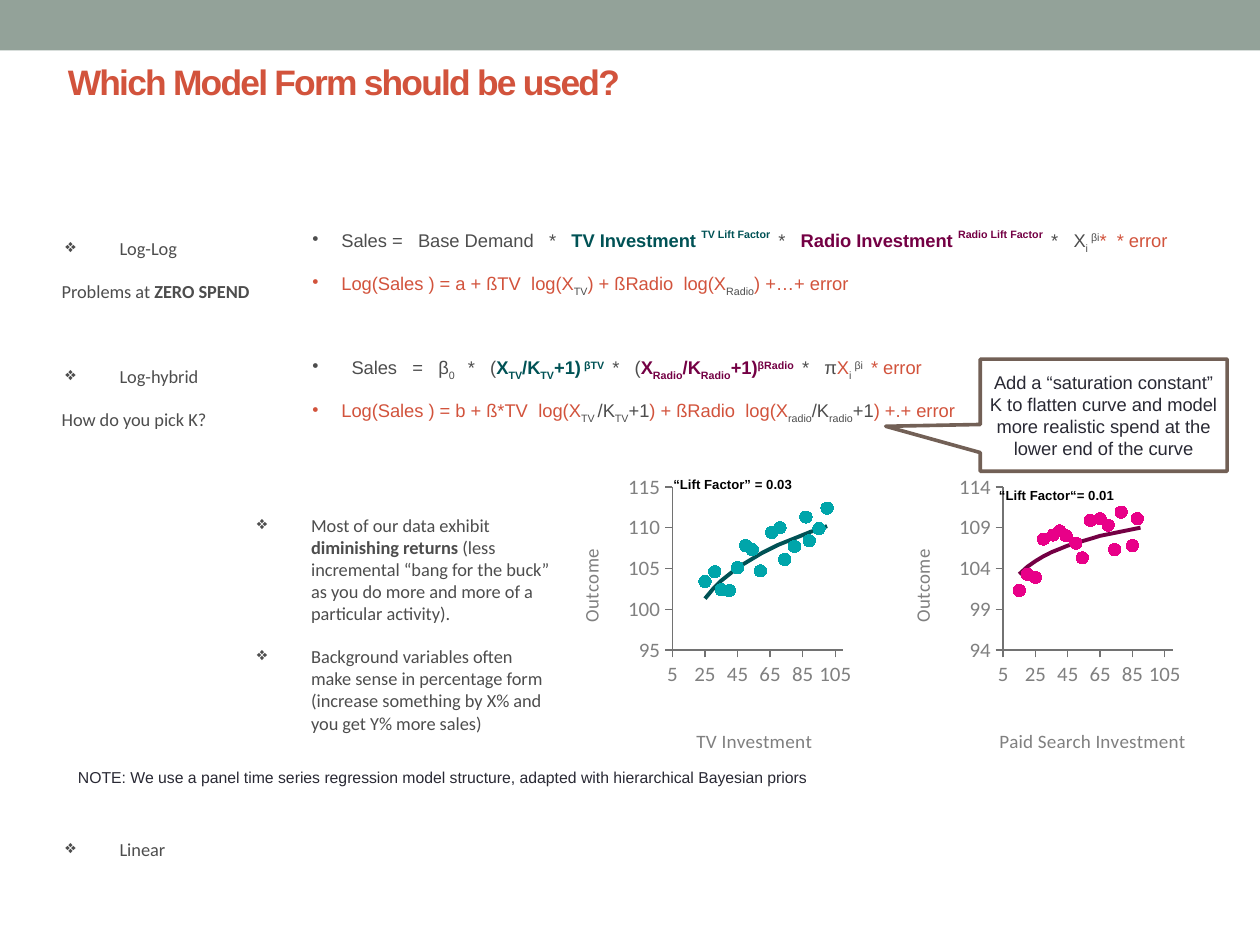
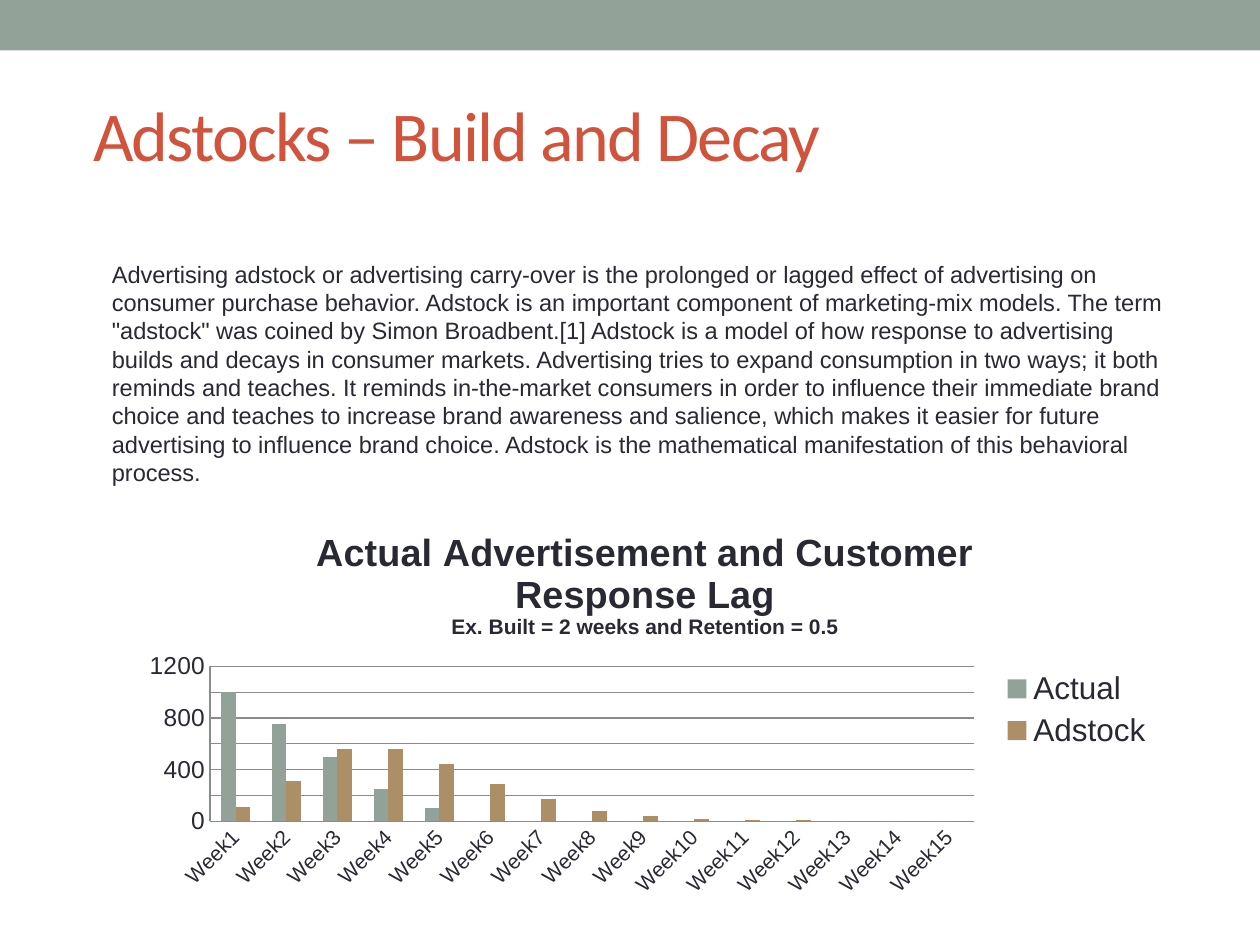
from math import log

from lxml import etree
from pptx import Presentation
from pptx.chart.data import CategoryChartData, XyChartData
from pptx.dml.color import RGBColor
from pptx.enum import chart as charts, shapes, text
from pptx.oxml.ns import qn
from pptx.util import Inches, Pt

COLORS = {
    "band": "93A299", "title": "D2533C", "ink": "292934", "gray": "4D4D4D",
    "tv": "005255", "radio": "740044", "tv_dots": "00A5AA", "search_dots": "E80088",
    "axis": "727272", "label": "808080", "grid": "8A8A8F", "adstock": "AD8F67",
    "callout": "726056", "white": "FFFFFF", "black": "000000",
}
TIGHT = (0.06, 0.03, 0.06, 0.03)
NORMAL = (0.1, 0.05, 0.1, 0.05)
WIDE_SPACES = {"|": 5.8, "¦": 2.9}

LOG_LOG = [
    ("Sales =|Base Demand|*|", "gray"), ("TV Investment ", "tv"),
    ("TV Lift Factor¦", "tv", 50), ("*|", "gray"), ("Radio Investment ", "radio"),
    ("Radio Lift Factor¦", "radio", 50), ("*|X", "gray"), ("i ", "gray", -25),
    ("βi", "gray", 30), ("*¦* error", "title"),
]
LOG_LOG_LINEAR = [
    ("Log(Sales ) = a + ßTV¦log(X", "title"), ("TV", "gray", -25),
    (") + ßRadio¦log(X", "title"), ("Radio", "gray", -25), (") +…+ error", "title"),
]
HYBRID = [
    ("¦Sales|=|β", "gray"), ("0 ", "gray", -25), ("¦*|(", "gray"),
    ("X", "tv"), ("TV", "tv", -25), ("/K", "tv"), ("TV", "tv", -25), ("+1)", "tv"),
    (" βTV¦", "tv", 30), ("*|(", "gray"), ("X", "radio"), ("Radio", "radio", -25),
    ("/K", "radio"), ("Radio", "radio", -25), ("+1)", "radio"), ("βRadio¦", "radio", 30),
    ("*|π", "gray"), ("X", "title"), ("i ", "gray", -25), ("βi¦", "gray", 30),
    ("* error", "title"),
]
HYBRID_LINEAR = [
    ("Log(Sales ) = b + ß*TV¦log(X", "title"), ("TV ", "gray", -25), ("/K", "gray"),
    ("TV", "gray", -25), ("+1", "gray"), (") + ßRadio¦log(X", "title"),
    ("radio", "gray", -25), ("/K", "gray"), ("radio", "gray", -25), ("+1", "gray"),
    (") +.+ error", "title"),
]
TV_POINTS = {
    25: 103.4, 31: 104.6, 35: 102.4, 40: 102.3, 45: 105.1, 50: 107.8, 54: 107.3, 59: 104.7,
    66: 109.4, 71: 110, 74: 106.1, 80: 107.7, 87: 111.3, 89: 108.4, 95: 109.9, 100: 112.4,
}
SEARCH_POINTS = {
    15: 101.3, 20: 103.3, 25: 102.9, 30: 107.6, 36: 108.1, 40: 108.6, 44: 108, 50: 107.1,
    54: 105.3, 59: 109.9, 65: 110.1, 70: 109.3, 74: 106.3, 78: 110.9, 85: 106.8, 88: 110.1,
}
ACTUAL = [1000, 750, 500, 250, 100] + [0] * 10
ADSTOCK = [110, 310, 560, 560, 440, 290, 170, 80, 40, 20, 10, 10, 0, 0, 0]
ADSTOCK_TEXT = (
    "Advertising adstock or advertising carry-over is the prolonged or lagged effect of "
    "advertising on consumer purchase behavior. Adstock is an important component of "
    "marketing-mix models. The term \"adstock\" was coined by Simon Broadbent.[1] Adstock is "
    "a model of how response to advertising builds and decays in consumer markets. "
    "Advertising tries to expand consumption in two ways; it both reminds and teaches. It "
    "reminds in-the-market consumers in order to influence their immediate brand choice and "
    "teaches to increase brand awareness and salience, which makes it easier for future "
    "advertising to influence brand choice. Adstock is the mathematical manifestation of "
    "this behavioral process."
)


def rgb(name):
    """Return the named colour."""
    return RGBColor.from_string(COLORS[name])


def style_font(font, size, color, name="Arial", bold=False):
    """Set face, size, colour and weight of a font."""
    font.name, font.size, font.bold = name, Pt(size), bold
    font.color.rgb = rgb(color)


def add_span(para, words, size, color, name="Arial", bold=False, baseline=0, spacing=0):
    """Add one run of text."""
    span = para.add_run()
    span.text = words
    style_font(span.font, size, color, name, bold)
    properties = span.font._element
    if baseline:
        properties.set("baseline", str(baseline * 1000))
    if spacing:
        properties.set("spc", str(round(spacing * 100)))


def add_box(page, place, anchor="TOP", insets=NORMAL):
    """Add an empty wrapping text box and return its text frame."""
    frame = page.shapes.add_textbox(*map(Inches, place)).text_frame
    set_frame(frame, anchor, insets)
    return frame


def set_frame(frame, anchor, insets):
    """Set wrapping, anchor and insets of a text frame."""
    frame.word_wrap = True
    frame.vertical_anchor = getattr(text.MSO_ANCHOR, anchor)
    sides = ("left", "top", "right", "bottom")
    for side, inset in zip(sides, insets):
        setattr(frame, f"margin_{side}", Inches(inset))


def add_para(frame, pitch, before=0, after=0, indent=(0, 0), bullet=None):
    """Start the next paragraph of a frame, leaving no space above the first."""
    para = frame.paragraphs[0]
    first = not para.runs
    if not first:
        para = frame.add_paragraph()
    properties = para._p.get_or_add_pPr()
    properties.set("marL", str(Inches(indent[0])))
    properties.set("indent", str(Inches(indent[1])))
    if bullet:
        etree.SubElement(properties, qn("a:buChar")).set("char", bullet)
    para.line_spacing = Pt(pitch)
    para.space_before = Pt(0 if first else before)
    para.space_after = Pt(after)
    return para


def add_line(frame, words, size, color, centered=False, **style):
    """Add a paragraph made of one run."""
    para = add_para(frame, size * 1.2)
    if centered:
        para.alignment = text.PP_ALIGN.CENTER
    add_span(para, words, size, color, **style)


def add_page(deck, title, place, size, anchor, **style):
    """Add a page with the top band and its title."""
    page = deck.slides.add_slide(deck.slide_layouts[6])
    band = page.shapes.add_shape(shapes.MSO_SHAPE.RECTANGLE, 0, 0, Inches(10), Inches(0.4))
    band.shadow.inherit = False
    band.fill.solid()
    band.fill.fore_color.rgb = rgb("band")
    band.line.fill.background()
    add_line(add_box(page, place, anchor), title, size, "title", spacing=-1, **style)
    return page


def add_equation(frame, terms, before=4.4):
    """Add a bulleted equation, widening the spaces marked in its terms."""
    para = add_para(frame, 14.2, before, 6, (0.23, -0.23), "•")
    for words, color, *baseline in terms:
        style = {"bold": color in ("tv", "radio"), "baseline": sum(baseline)}
        piece = ""
        for letter in words:
            if letter not in WIDE_SPACES:
                piece += letter
                continue
            if piece:
                add_span(para, piece, 10.5, color, **style)
            add_span(para, " ", 10.5, color, spacing=WIDE_SPACES[letter], **style)
            piece = ""
        if piece:
            add_span(para, piece, 10.5, color, **style)


def add_note(frame, *pieces, bullet="❖", before=12):
    """Add a side note whose every second piece is bold."""
    indent = (0.56, -0.43) if bullet else (0.1, 0)
    para = add_para(frame, 12.6, before, 0, indent, bullet)
    for index, words in enumerate(pieces):
        add_span(para, words, 10.5, "gray", "Calibri", index % 2 == 1)


def add_callout(page, words, place, tail):
    """Add a speech callout."""
    callout = page.shapes.add_shape(
        shapes.MSO_SHAPE.RECTANGULAR_CALLOUT, *map(Inches, place))
    callout.shadow.inherit = False
    callout.adjustments[0], callout.adjustments[1] = tail
    callout.fill.solid()
    callout.fill.fore_color.rgb = rgb("white")
    callout.line.color.rgb = rgb("callout")
    callout.line.width = Pt(2.08)
    set_frame(callout.text_frame, "MIDDLE", TIGHT)
    add_line(callout.text_frame, words, 10.5, "ink", centered=True)


def place_part(part, index, **fractions):
    """Fix the place of a chart part, in fractions of the chart."""
    for old in part.findall(qn("c:layout")):
        part.remove(old)
    layout = etree.Element(qn("c:layout"))
    part.insert(index, layout)
    manual = etree.SubElement(layout, qn("c:manualLayout"))
    settings = {"layoutTarget": "inner"} if "w" in fractions else {}
    settings.update(xMode="edge", yMode="edge", **fractions)
    for tag, value in settings.items():
        etree.SubElement(manual, qn(f"c:{tag}")).set("val", str(value))


def add_chart(page, kind, place, data, size, color):
    """Add a chart with its base font."""
    chart = page.shapes.add_chart(
        getattr(charts.XL_CHART_TYPE, kind), *map(Inches, place), data).chart
    style_font(chart.font, size, color)
    chart.plots[0].vary_by_categories = False
    return chart


def style_axis(axis, low, high, step, title, title_place):
    """Set the scale, line, labels and title of a scatter axis."""
    axis.minimum_scale, axis.maximum_scale, axis.major_unit = low, high, step
    axis.has_major_gridlines = False
    axis.major_tick_mark = charts.XL_TICK_MARK.OUTSIDE
    axis.format.line.color.rgb = rgb("axis")
    axis.format.line.width = Pt(0.75)
    style_font(axis.tick_labels.font, 12, "label", "Calibri")
    axis.tick_labels.number_format = "0"
    axis.tick_labels.number_format_is_linked = False
    add_span(axis.axis_title.text_frame.paragraphs[0], title, 11, "label", "Calibri")
    place_part(axis.axis_title._element, 1, **title_place)


def add_scatter(page, left, title, title_left, points, curve, low, dots, line):
    """Add a scatter chart with its logarithmic response curve."""
    data = XyChartData()
    base, slope = curve
    start = min(points)
    fitted = {x: round(base + slope * log(x), 1) for x in range(start, start + 76, 5)}
    for name, values in (("Series 1", points), ("Series 2", fitted)):
        series = data.add_series(name)
        for x, y in values.items():
            series.add_data_point(x, y)
    chart = add_chart(page, "XY_SCATTER", (left, 3.73, 2.32, 2.3), data, 12, "gray")
    chart.has_title = chart.has_legend = False
    style_axis(chart.category_axis, 5, 110, 20, title, {"x": title_left, "y": 0.9})
    style_axis(chart.value_axis, low, low + 20, 5, "Outcome", {"x": 0.03, "y": 0.27})
    chart.value_axis.axis_title.text_frame._txBody.bodyPr.set("rot", "-5400000")
    place_part(chart._chartSpace.chart.plotArea, 0, x=0.365, y=0.06, w=0.585, h=0.575)
    cloud, trend = chart.plots[0].series
    cloud.smooth = trend.smooth = False
    cloud.format.line.fill.background()
    cloud.marker.style, cloud.marker.size = charts.XL_MARKER_STYLE.CIRCLE, 7
    cloud.marker.format.fill.solid()
    cloud.marker.format.fill.fore_color.rgb = rgb(dots)
    cloud.marker.format.line.color.rgb = rgb(dots)
    trend.marker.style = charts.XL_MARKER_STYLE.NONE
    trend.format.line.color.rgb = rgb(line)
    trend.format.line.width = Pt(2.25)


def add_adstock_chart(page):
    """Add the weekly columns of advertising and response."""
    data = CategoryChartData()
    data.categories = [f"Week{week}" for week in range(1, 16)]
    data.add_series("Actual", ACTUAL)
    data.add_series("Adstock", ADSTOCK)
    chart = add_chart(page, "COLUMN_CLUSTERED", (1.01, 4.06, 8.22, 3.12), data, 18, "ink")
    heading = chart.chart_title.text_frame
    add_span(heading.paragraphs[0], "Actual Advertisement and Customer Response Lag",
             21.6, "ink", bold=True)
    add_span(heading.add_paragraph(), "Ex. Built = 2 weeks and Retention = 0.5",
             12, "ink", bold=True)
    chart.has_legend = True
    chart.legend.position = charts.XL_LEGEND_POSITION.RIGHT
    chart.legend.include_in_layout = False
    style_font(chart.legend.font, 18, "ink")
    place_part(chart.legend._element, 1, x=0.84, y=0.39)
    place_part(chart._chartSpace.chart.plotArea, 0, x=0.08, y=0.394, w=0.738, h=0.394)
    for axis, size in ((chart.category_axis, 12), (chart.value_axis, 14)):
        axis.major_tick_mark = charts.XL_TICK_MARK.NONE
        axis.format.line.color.rgb = rgb("grid")
        style_font(axis.tick_labels.font, size, "ink")
    chart.category_axis._element.txPr.bodyPr.set("rot", "-2700000")
    scale = chart.value_axis
    scale.minimum_scale, scale.maximum_scale, scale.major_unit = 0, 1200, 200
    scale.major_gridlines.format.line.color.rgb = rgb("grid")
    chart.plots[0].gap_width = 150
    for series, color in zip(chart.plots[0].series, ("band", "adstock")):
        series.format.fill.solid()
        series.format.fill.fore_color.rgb = rgb(color)


def build_model_page(deck):
    """Build the page that compares model forms."""
    page = add_page(deck, "Which Model Form should be used?", (0.44, 0.43, 9.29, 0.81),
                    20.2, "TOP", bold=True)
    equations = add_box(page, (2.42, 1.79, 7.37, 1.8), insets=TIGHT)
    add_equation(equations, LOG_LOG)
    add_equation(equations, LOG_LOG_LINEAR)
    add_equation(equations, HYBRID, before=27.8)
    add_equation(equations, HYBRID_LINEAR)
    add_scatter(page, 4.49, "TV Investment", 0.435, TV_POINTS, (80.7, 6.4), 95,
                "tv_dots", "tv")
    add_scatter(page, 7.12, "Paid Search Investment", 0.34, SEARCH_POINTS, (94.7, 3.18), 94,
                "search_dots", "radio")
    reasons = add_box(page, (1.85, 4.05, 2.6, 1.93), insets=TIGHT)
    add_note(reasons, "Most of our data exhibit ", "diminishing returns",
             " (less incremental “bang for the buck” as you do more and more of a "
             "particular activity).")
    add_note(reasons, "Background variables often make sense in percentage form "
             "(increase something by X% and you get Y% more sales)")
    for words, left, top in (("“Lift Factor” = 0.03", 5.1, 3.74),
                             ("“Lift Factor“= 0.01", 7.67, 3.83)):
        label = add_box(page, (left, top, 1.43, 0.22), insets=(0.09, 0.04, 0.09, 0.04))
        add_line(label, words, 7.5, "black", centered=True, bold=True)
    add_callout(page, "Add a “saturation constant” K to flatten curve and model more "
                "realistic spend at the lower end of the curve",
                (7.78, 2.85, 1.96, 0.89), (-0.883, 0.099))
    add_line(add_box(page, (0.52, 6.01, 8.35, 0.32), "MIDDLE"),
             "NOTE: We use a panel time series regression model structure, adapted with "
             "hierarchical Bayesian priors", 9, "ink")
    forms = add_box(page, (0.33, 1.85, 1.8, 2.7), insets=TIGHT)
    add_note(forms, "Log-Log")
    add_note(forms, "Problems at ", "ZERO SPEND", bullet=None)
    add_note(forms, "Log-hybrid", before=36)
    add_note(forms, "How do you pick K?", bullet=None)
    add_note(forms, "Linear", before=233)


def build_adstock_page(deck):
    """Build the page that explains adstock."""
    page = add_page(deck, "Adstocks – Build and Decay", (0.64, 0.5, 8.99, 1.12),
                    40, "MIDDLE", name="Calibri")
    add_line(add_box(page, (0.79, 2.01, 8.54, 1.92)), ADSTOCK_TEXT, 13.5, "ink")
    add_adstock_chart(page)


def main():
    """Build and save the deck."""
    deck = Presentation()
    deck.slide_width, deck.slide_height = Inches(10), Inches(7.5)
    build_model_page(deck)
    build_adstock_page(deck)
    deck.save("out.pptx")


if __name__ == "__main__":
    main()
